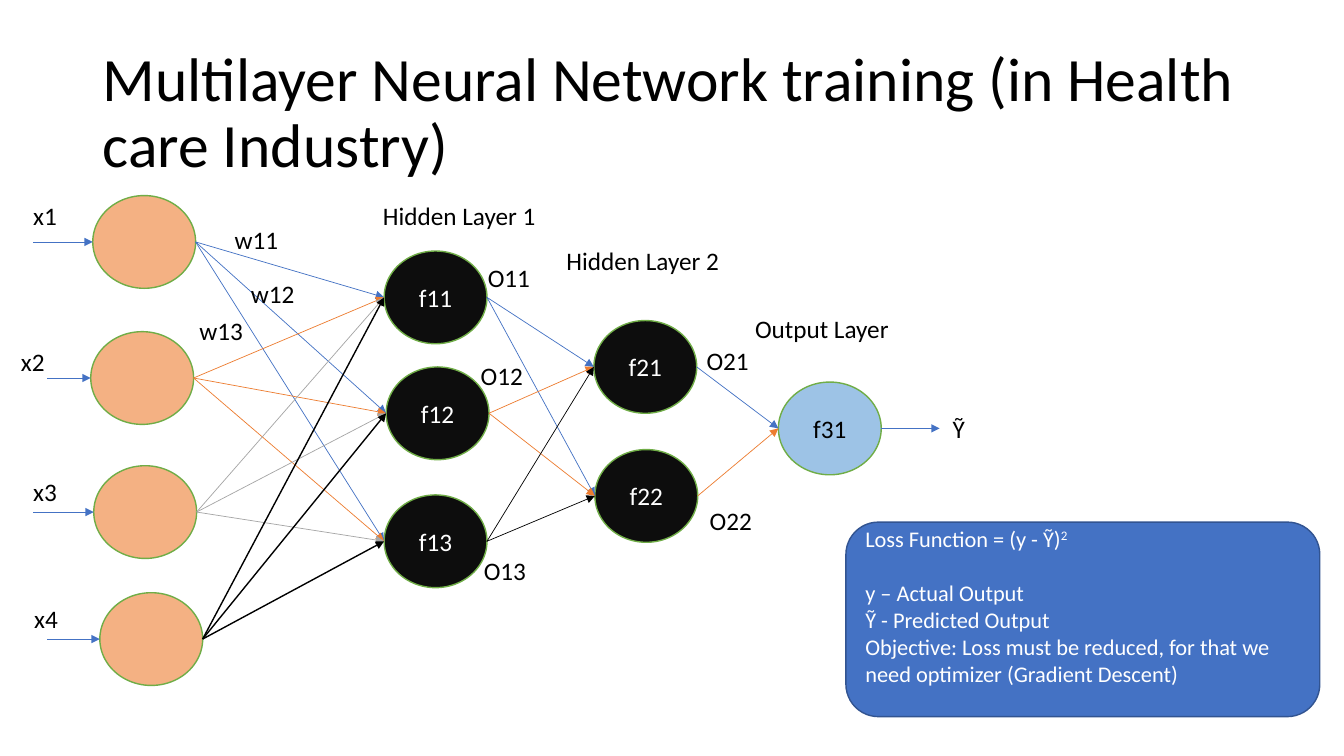
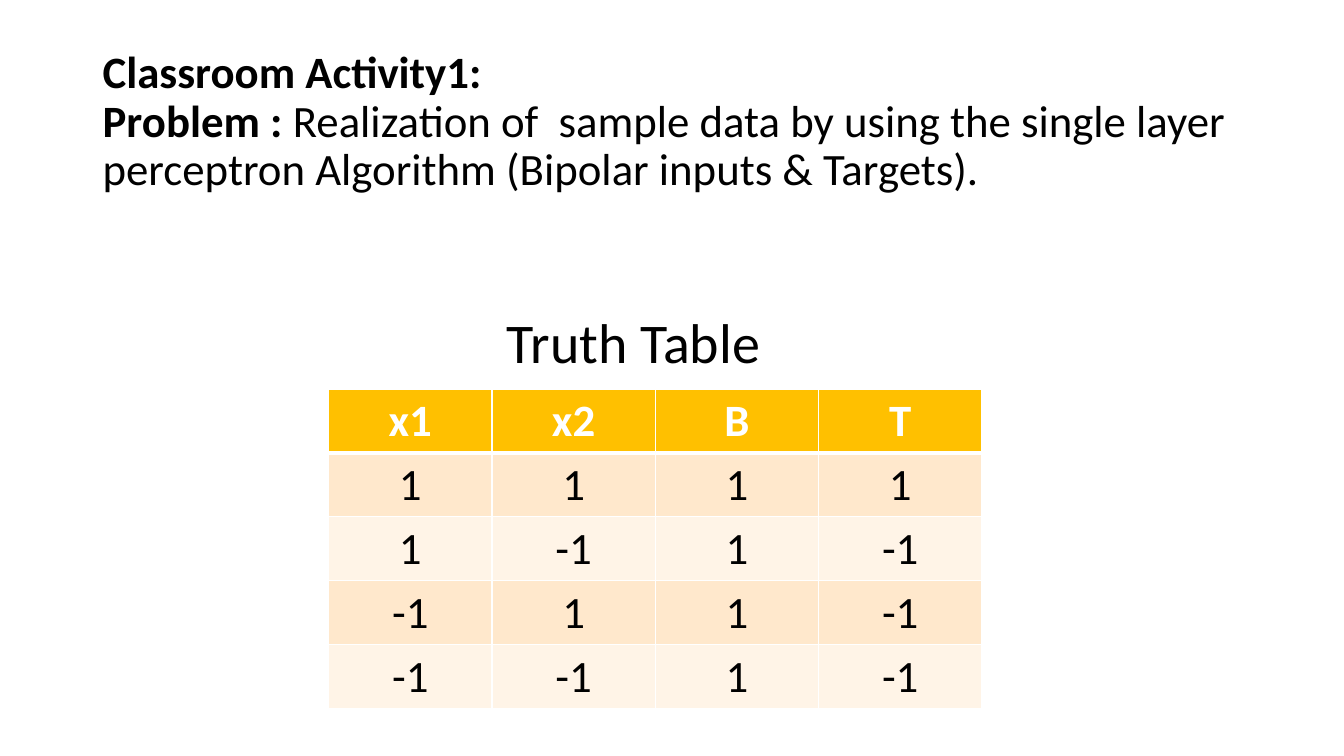
from lxml import etree
from pptx import Presentation
from pptx import util as u
from pptx.dml import color
from pptx.enum import shapes, text
from pptx.oxml import ns

HUE = {
    "ink": "000000", "white": "FFFFFF", "peach": "F4B183", "dark": "0D0D0D",
    "sky": "9DC3E6", "green": "70AD47", "blue": "4472C4", "navy": "325491",
    "orange": "ED7D31", "gray": "A5A5A5", "gold": "FFC000",
    "band": "FFE8CC", "pale": "FFF4E7",
}
FACE = "Calibri"
WIDE, HIGH = 13.33, 7.5
NODE_W, NODE_H = 1.02, 0.92
LEFT, MID = text.PP_ALIGN.LEFT, text.PP_ALIGN.CENTER
TOP, HALF = text.MSO_ANCHOR.TOP, text.MSO_ANCHOR.MIDDLE

LAYERS = [
    {"fill": "peach", "ink": "ink", "nodes": {
        "x1": (0.81, 0), "x2": (0.79, 1.35),
        "x3": (0.82, 2.68), "x4": (0.88, 3.94)}},
    {"fill": "dark", "ink": "white", "nodes": {
        "f11": (3.7, 0.55), "f12": (3.72, 1.7), "f13": (3.7, 2.97)}},
    {"fill": "dark", "ink": "white", "nodes": {
        "f21": (5.78, 1.24), "f22": (5.79, 2.52)}},
    {"fill": "sky", "ink": "ink", "nodes": {"f31": (7.61, 1.85)}},
]
WIRES = [
    [("blue", 0.5), ("orange", 0.5), ("gray", 0.5), ("ink", 1)],
    [("blue", 0.5), ("orange", 0.5), ("ink", 0.5)],
    [("blue", 0.5), ("orange", 0.5)],
]
STARTS = [0.22, 0.36, 0.22, 0.36]
FINISH = 9.21
LABELS = [
    (0.58, {"x1": (0.12, 0), "x2": (0, 1.45),
            "x3": (0.12, 2.74), "x4": (0.13, 4)}),
    (0.87, {"w11": (2.12, 0.24), "w12": (2.28, 0.77), "w13": (1.77, 1.14),
            "O11": (4.63, 0.61), "O12": (4.56, 1.59), "O13": (4.59, 3.52),
            "O21": (6.8, 1.44), "O22": (6.83, 3.02), "Ỹ": (9.24, 2.11)}),
    (2.19, {"Hidden Layer 1": (3.59, 0), "Hidden Layer 2": (5.41, 0.44),
            "Output Layer": (7.28, 1.12)}),
]
LOSS = [
    [("Loss Function = (y - Ỹ)", {}), ("2", {"base": 30000})],
    [("y – Actual Output", {})],
    [("Ỹ - Predicted Output", {})],
    [("Objective: Loss must be reduced, for that we need optimizer "
      "(Gradient Descent)", {})],
]
TRUTH = [
    ["x1", "x2", "B", "T"],
    ["1", "1", "1", "1"],
    ["1", "-1", "1", "-1"],
    ["-1", "1", "1", "-1"],
    ["-1", "-1", "1", "-1"],
]


def rgb(key):
    return color.RGBColor.from_string(HUE[key])


def inches(box):
    return [u.Inches(v) for v in box]


def apply(item, looks):
    for key, val in looks.items():
        setattr(item, key, val)


def write(frame, paras, size, ink="ink", align=LEFT, **para):
    for i, runs in enumerate(paras):
        p = frame.paragraphs[0] if i == 0 else frame.add_paragraph()
        apply(p, {"alignment": align, **para})
        for words, look in runs:
            if words == "\n":
                p.add_line_break()
                continue
            r = p.add_run()
            r.text = words
            apply(r.font, {"name": FACE, "size": u.Pt(size),
                           "bold": look.get("bold", False)})
            r.font.color.rgb = rgb(ink)
            if "base" in look:
                r.font._element.set("baseline", str(look["base"]))


def note(slide, box, runs, size=18, anchor=TOP, **para):
    frame = slide.shapes.add_textbox(*inches(box)).text_frame
    apply(frame, {"word_wrap": True, "vertical_anchor": anchor})
    write(frame, [runs], size, **para)


def title(slide, top, runs, size):
    box = (0.92, top, 11.5, 1.45)
    note(slide, box, runs, size, HALF, line_spacing=0.9)


def block(slide, kind, box, fill, edge):
    shape = slide.shapes.add_shape(kind, *inches(box))
    shape.shadow.inherit = False
    shape.fill.solid()
    shape.fill.fore_color.rgb = rgb(fill)
    shape.line.color.rgb = rgb(edge)
    shape.line.width = u.Pt(1)
    apply(shape.text_frame, {"word_wrap": True, "vertical_anchor": HALF})
    return shape.text_frame


def arrow(slide, start, end, hue="blue", width=0.5):
    line = slide.shapes.add_connector(
        shapes.MSO_CONNECTOR.STRAIGHT, *inches(start + end))
    line.line.color.rgb = rgb(hue)
    line.line.width = u.Pt(width)
    tip = etree.SubElement(line.line._get_or_add_ln(), ns.qn("a:tailEnd"))
    tip.set("type", "triangle")
    etree.SubElement(line._element.spPr, ns.qn("a:effectLst"))


def network(slide, x, y):
    ports = []
    for layer in LAYERS:
        row = []
        for name, (dx, dy) in layer["nodes"].items():
            box = (x + dx, y + dy, NODE_W, NODE_H)
            frame = block(slide, shapes.MSO_SHAPE.OVAL, box,
                          layer["fill"], "green")
            if layer is not LAYERS[0]:
                write(frame, [[(name, {})]], 18, layer["ink"], MID)
            mid = y + dy + NODE_H / 2
            row.append(((x + dx, mid), (x + dx + NODE_W, mid)))
        ports.append(row)
    for near, far, looks in zip(ports, ports[1:], WIRES):
        for (_, start), look in zip(near, looks):
            for end, _ in far:
                arrow(slide, start, end, *look)
    for dx, (end, _) in zip(STARTS, ports[0]):
        arrow(slide, (x + dx, end[1]), end)
    last = ports[-1][0][1]
    arrow(slide, last, (x + FINISH, last[1]))
    for width, group in LABELS:
        for name, (dx, dy) in group.items():
            note(slide, (x + dx, y + dy, width, 0.4), [(name, {})])


def loss(slide, box):
    kind = shapes.MSO_SHAPE.FLOWCHART_ALTERNATE_PROCESS
    frame = block(slide, kind, box, "blue", "navy")
    frame.margin_bottom = u.Inches(0.32)
    write(frame, LOSS, 16, "white")
    frame.paragraphs[1].space_before = u.Pt(19.5)


def border(cell, side, width):
    props = cell._tc.get_or_add_tcPr()
    line = etree.Element(ns.qn("a:ln" + side), w=str(u.Pt(width)))
    fill = etree.SubElement(line, ns.qn("a:solidFill"))
    etree.SubElement(fill, ns.qn("a:srgbClr"), val=HUE["white"])
    props.insert("LRTB".index(side), line)


def grid(slide, box):
    rows, cols = len(TRUTH), len(TRUTH[0])
    table = slide.shapes.add_table(rows, cols, *inches(box)).table
    for i, vals in enumerate(TRUTH):
        head = i == 0
        fill = "gold" if head else ("pale", "band")[i % 2]
        for j, val in enumerate(vals):
            cell = table.cell(i, j)
            cell.fill.solid()
            cell.fill.fore_color.rgb = rgb(fill)
            write(cell.text_frame, [[(val, {"bold": head})]], 32,
                  "white" if head else "ink", MID)
            for side in "LRTB":
                thick = (head and side == "B") or (i == 1 and side == "T")
                border(cell, side, 3 if thick else 1)


def training(slide):
    title(slide, 0.41, [("Multilayer Neural Network training "
                         "(in Health care Industry)", {})], 44)
    network(slide, 0.11, 1.94)
    loss(slide, (8.39, 5.18, 4.7, 1.93))


def activity(slide):
    bold = {"bold": True}
    title(slide, 0.49, [
        ("Classroom Activity1:", bold), ("\n", {}), ("Problem : ", bold),
        ("Realization of  sample data by using the single layer perceptron "
         "Algorithm (Bipolar inputs & Targets).", {})], 32)
    grid(slide, (3.26, 3.86, 6.48, 3.17))
    note(slide, (4.93, 3, 3.13, 0.77), [("Truth Table", {})], 40)


def main():
    deck = Presentation()
    apply(deck, {"slide_width": u.Inches(WIDE),
                 "slide_height": u.Inches(HIGH)})
    for build in (training, activity):
        build(deck.slides.add_slide(deck.slide_layouts[6]))
    deck.save("out.pptx")


if __name__ == "__main__":
    main()
